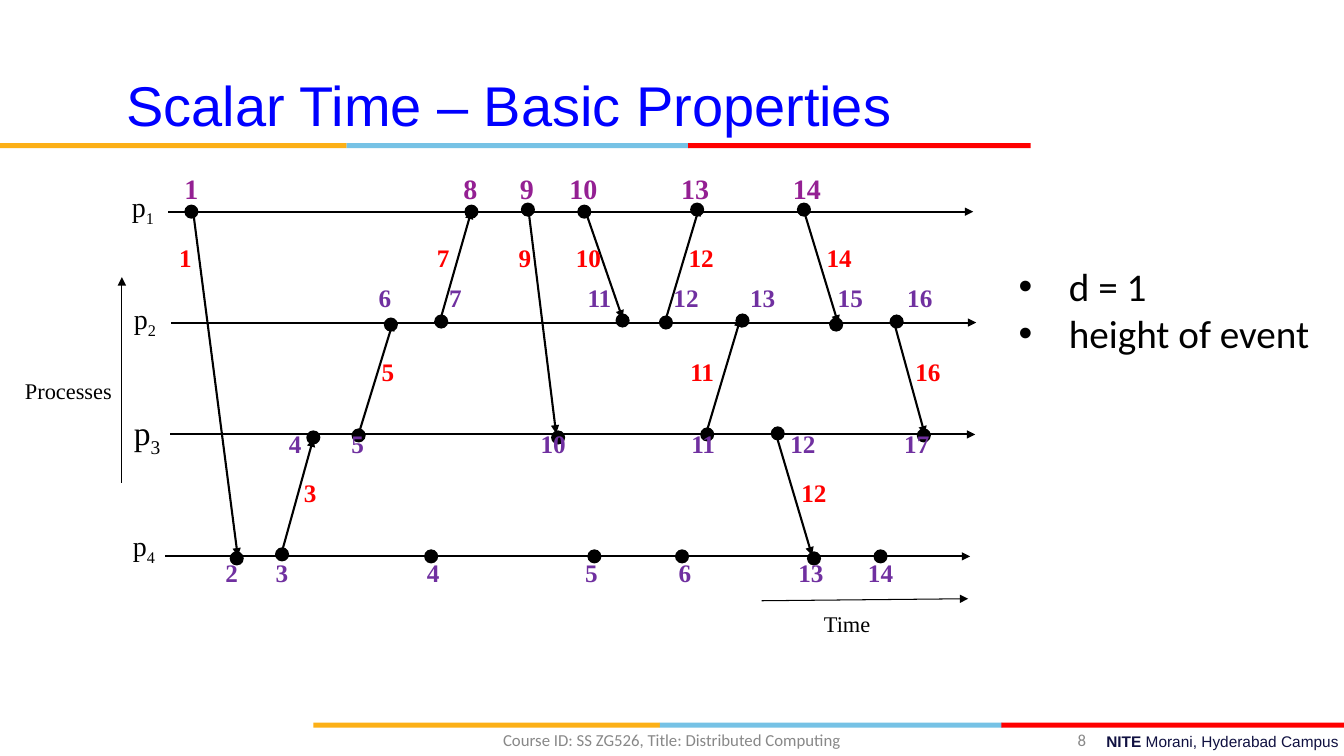
"""Build the slide on basic properties of scalar time in a distributed system."""
from dataclasses import dataclass

import pptx
import pptx.dml.color
import pptx.enum.shapes
import pptx.enum.text
import pptx.oxml.ns
import pptx.shapes.autoshape
import pptx.slide
import pptx.text.text
import pptx.util
from lxml import etree

RGBColor = pptx.dml.color.RGBColor
Align = pptx.enum.text.PP_ALIGN
Anchor = pptx.enum.text.MSO_ANCHOR
Shapes = pptx.enum.shapes.MSO_SHAPE

PX = 9144
BLACK = RGBColor(0x00, 0x00, 0x00)
BLUE = RGBColor(0x00, 0x00, 0xFF)
RED = RGBColor(0xFF, 0x00, 0x00)
AMBER = RGBColor(0xFC, 0xB0, 0x17)
SKY = RGBColor(0x76, 0xC2, 0xE5)
GREY = RGBColor(0x88, 0x88, 0x88)
NAVY = RGBColor(0x10, 0x11, 0x41)
MAGENTA = RGBColor(0x94, 0x20, 0x93)
PURPLE = RGBColor(0x70, 0x30, 0xA0)
SERIF, SANS, BODY = "Times New Roman", "Arial", "Calibri"
DOT = 14
STAMP_WIDTH = 60


@dataclass(frozen=True)
class Arrow:
    start: tuple[int, int]
    end: tuple[int, int]
    weight: float = 1.5


@dataclass(frozen=True)
class Caption:
    box: tuple[int, int, int, int]
    text: str
    size: int
    font: str = SERIF
    color: RGBColor = BLACK
    align: Align = Align.LEFT
    anchor: Anchor = Anchor.TOP
    bold: bool | None = None
    inset: int = 10


@dataclass(frozen=True)
class Process:
    label_at: tuple[int, int]
    label_size: int
    line_start: tuple[int, int]
    events: tuple[tuple[int, int], ...]


@dataclass(frozen=True)
class StampRow:
    top: int
    color: RGBColor
    stamps: tuple[tuple[int, int], ...]
    size: int = 18


PROCESSES = (
    Process((121, 183), 20, (167, 210),
            ((190, 210), (468, 210), (524, 208), (580, 210), (692, 208), (798, 208))),
    Process((123, 294), 20, (170, 320),
            ((388, 322), (438, 319), (618, 318), (661, 320), (737, 318), (830, 322), (890, 319))),
    Process((123, 404), 24, (169, 431),
            ((311, 434), (356, 432), (554, 434), (702, 431), (772, 430), (917, 432))),
    Process((122, 519), 20, (164, 552),
            ((235, 554), (280, 550), (428, 552), (590, 552), (677, 552), (808, 554), (874, 552))),
)
LINE_LENGTH = 799

MESSAGES = (
    Arrow((192, 212), (236, 552)), Arrow((278, 554), (311, 435)),
    Arrow((354, 437), (390, 320)), Arrow((436, 321), (468, 209)),
    Arrow((525, 212), (552, 430)), Arrow((582, 212), (618, 316)),
    Arrow((659, 323), (694, 206)), Arrow((700, 433), (735, 316)),
    Arrow((770, 430), (806, 551)), Arrow((797, 206), (832, 321)),
    Arrow((888, 322), (918, 431)),
)
AXES = (Arrow((756, 596), (961, 594), 0.75), Arrow((121, 479), (121, 275), 0.75))

STAMP_ROWS = (
    StampRow(165, MAGENTA, ((1, 190), (8, 467), (9, 523), (10, 579), (13, 690), (14, 801)), 20),
    StampRow(235, RED, ((1, 184), (7, 440), (9, 521), (10, 584), (12, 696), (14, 833))),
    StampRow(275, PURPLE, ((6, 382), (7, 452), (11, 595), (12, 681), (13, 757), (15, 844), (16, 913))),
    StampRow(349, RED, ((5, 385), (11, 697), (16, 921))),
    StampRow(420, PURPLE, ((4, 293), (5, 355), (10, 549), (11, 698), (12, 797), (17, 910))),
    StampRow(469, RED, ((3, 308), (12, 808))),
    StampRow(548, PURPLE, ((2, 230), (3, 280), (4, 430), (5, 587), (6, 680), (13, 805), (14, 874))),
)

CAPTIONS = (
    Caption((442, 719, 450, 30), "Course ID: SS ZG526, Title: Distributed Computing", 12,
            BODY, GREY, Align.CENTER, Anchor.MIDDLE, inset=5),
    Caption((1003, 719, 80, 30), "8", 12, BODY, GREY, Align.RIGHT, Anchor.MIDDLE, inset=5),
    Caption((808, 600, 104, 39), "Time", 16),
    Caption((15, 369, 120, 39), "Processes", 16),
)


def style(target: pptx.text.text._Paragraph, caption: Caption) -> None:
    """Apply the caption's alignment and font to a paragraph."""
    target.alignment = caption.align
    target.font.name = caption.font
    target.font.size = pptx.util.Pt(caption.size)
    target.font.bold = caption.bold
    target.font.color.rgb = caption.color


def fit_frame(frame: pptx.text.text.TextFrame, caption: Caption) -> None:
    """Set wrapping, anchor and insets of a text frame."""
    frame.word_wrap = True
    frame.vertical_anchor = caption.anchor
    frame.margin_left = frame.margin_right = caption.inset * PX
    frame.margin_top = frame.margin_bottom = 5 * PX


def add_caption(slide: pptx.slide.Slide, caption: Caption) -> pptx.text.text.TextFrame:
    """Add a text box with one paragraph per line of the caption."""
    frame = slide.shapes.add_textbox(*(side * PX for side in caption.box)).text_frame
    fit_frame(frame, caption)
    frame.text = caption.text
    for paragraph in frame.paragraphs:
        style(paragraph, caption)
    return frame


def add_solid(slide: pptx.slide.Slide, kind: Shapes, box: tuple[int, int, int, int], color: RGBColor) -> None:
    """Add a filled shape without outline or shadow."""
    solid = slide.shapes.add_shape(kind, *(side * PX for side in box))
    solid.shadow.inherit = False
    solid.fill.solid()
    solid.fill.fore_color.rgb = color
    solid.line.fill.background()


def add_arrow(slide: pptx.slide.Slide, arrow: Arrow) -> None:
    """Add a black straight arrow."""
    connector = slide.shapes.add_connector(
        pptx.enum.shapes.MSO_CONNECTOR.STRAIGHT, *(value * PX for value in arrow.start + arrow.end))
    connector.line.color.rgb = BLACK
    connector.line.width = pptx.util.Pt(arrow.weight)
    etree.SubElement(connector.line._get_or_add_ln(), pptx.oxml.ns.qn("a:tailEnd"), type="triangle")
    etree.SubElement(connector._element.spPr, pptx.oxml.ns.qn("a:effectLst"))


def add_stripe(slide: pptx.slide.Slide, left: int, top: int) -> None:
    """Add the three-colour stripe."""
    for offset, width, color in ((0, 344, AMBER), (344, 340, SKY), (683, 340, RED)):
        add_solid(slide, Shapes.RECTANGLE, (left + offset, top, width, 5), color)


def add_bullets(slide: pptx.slide.Slide) -> None:
    """Add the bulleted remarks beside the diagram."""
    remarks = add_caption(slide, Caption((1006, 255, 306, 103), "d = 1\nheight of event", 28, BODY, inset=5))
    for paragraph in remarks.paragraphs:
        properties = paragraph._p.get_or_add_pPr()
        properties.set("marL", str(50 * PX))
        properties.set("indent", str(-50 * PX))
        bullet_font = etree.Element(pptx.oxml.ns.qn("a:buFont"), typeface=SANS)
        bullet = etree.Element(pptx.oxml.ns.qn("a:buChar"), char="•")
        properties.insert(0, bullet_font)
        properties.insert(1, bullet)


def main() -> None:
    """Compose the slide and save it."""
    deck = pptx.Presentation()
    deck.slide_width, deck.slide_height = 1334 * PX, 750 * PX
    slide = deck.slides.add_slide(deck.slide_layouts[5])

    add_stripe(slide, 0, 142)
    add_stripe(slide, 311, 717)
    heading = Caption((44, 41, 922, 125), "Scalar Time – Basic Properties", 40, SANS, BLUE,
                      Align.CENTER, Anchor.MIDDLE, inset=5)
    title = slide.shapes.title
    title.left, title.top, title.width, title.height = (side * PX for side in heading.box)
    fit_frame(title.text_frame, heading)
    title.text_frame.text = heading.text
    style(title.text_frame.paragraphs[0], heading)

    campus = add_caption(slide, Caption((478, 721, 856, 28), "NITE ", 11, SANS, NAVY, Align.RIGHT, inset=5))
    campus.paragraphs[0].runs[0].font.bold = True
    campus.paragraphs[0].add_run().text = "Morani, Hyderabad Campus"
    for caption in CAPTIONS:
        add_caption(slide, caption)
    add_bullets(slide)

    for number, process in enumerate(PROCESSES, start=1):
        left, top = process.line_start
        add_arrow(slide, Arrow(process.line_start, (left + LINE_LENGTH, top)))
        label = add_caption(slide, Caption((*process.label_at, 64, 47), "p", process.label_size))
        index = label.paragraphs[0].add_run()
        index.text = str(number)
        index._r.get_or_add_rPr().set("baseline", "-25000")
    for arrow in MESSAGES + AXES:
        add_arrow(slide, arrow)
    for process in PROCESSES:
        for x, y in process.events:
            add_solid(slide, Shapes.OVAL, (x - DOT // 2, y - DOT // 2, DOT, DOT), BLACK)
    for row in STAMP_ROWS:
        for stamp, x in row.stamps:
            add_caption(slide, Caption((x - STAMP_WIDTH // 2, row.top, STAMP_WIDTH, 40), str(stamp), row.size,
                                       color=row.color, align=Align.CENTER, bold=True))
    deck.save("out.pptx")


if __name__ == "__main__":
    main()
